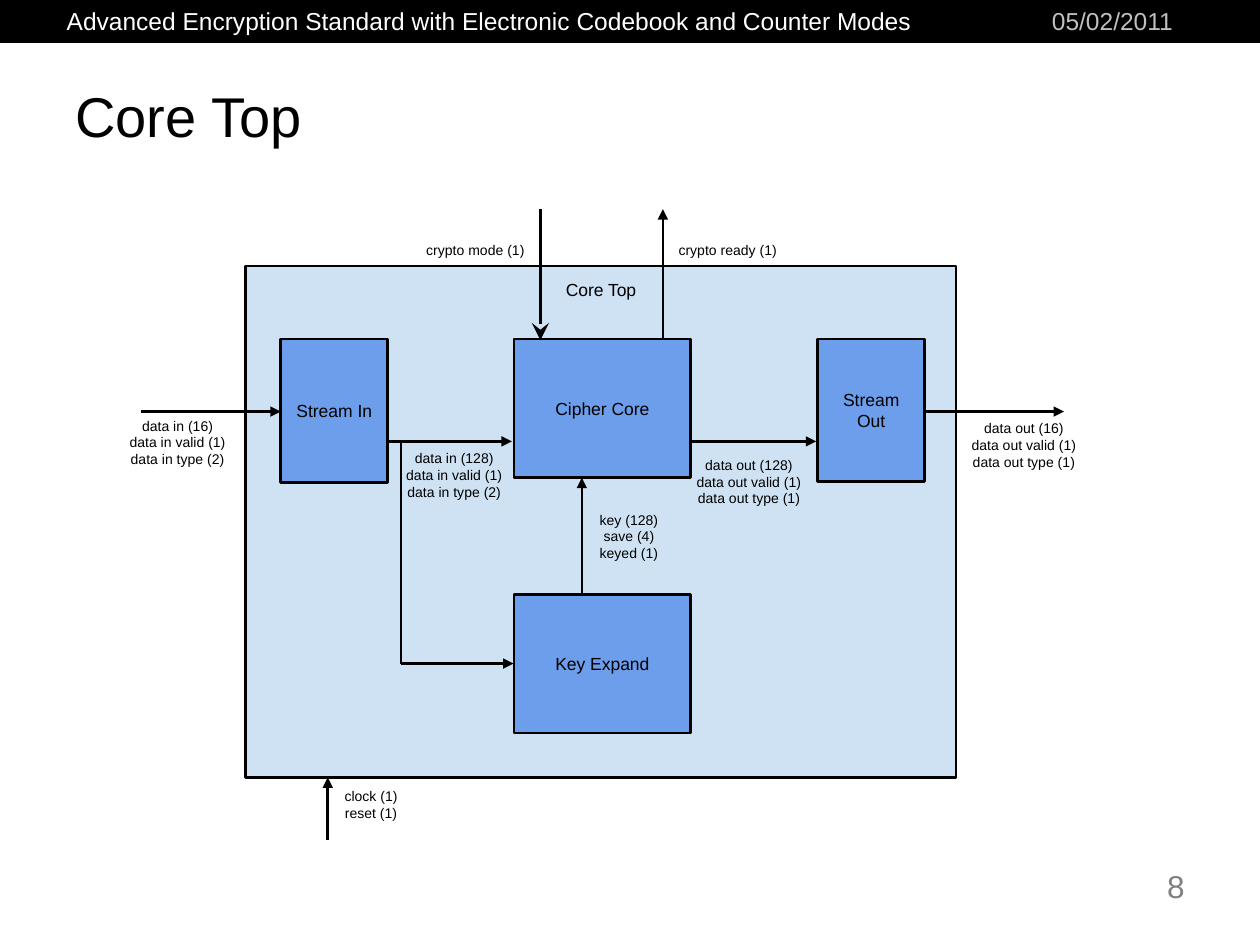
from dataclasses import dataclass

from lxml import etree
from pptx import Presentation
from pptx import util as u
from pptx.dml.color import RGBColor
from pptx.enum import shapes, text
from pptx.oxml import ns

Pt = u.Pt
BLACK, WHITE = "000000", "FFFFFF"
PALE_BLUE, BLUE = "CFE2F3", "6D9EEB"
LEFT, CENTER, RIGHT = text.PP_ALIGN.LEFT, text.PP_ALIGN.CENTER, text.PP_ALIGN.RIGHT
TOP, MIDDLE = text.MSO_ANCHOR.TOP, text.MSO_ANCHOR.MIDDLE


@dataclass
class Label:
    words: str
    left: float
    top: float
    width: float
    height: float
    size: float = 8
    color: str = BLACK
    align: text.PP_ALIGN = CENTER
    anchor: text.MSO_ANCHOR = MIDDLE
    margin: float = 7.2
    wrap: bool = True


@dataclass
class Block:
    label: Label
    fill: str = BLUE


@dataclass
class Signal:
    """A line from its source to its tip; head is the arrowhead at the tip."""
    x1: float
    y1: float
    x2: float
    y2: float
    head: str = "triangle"
    head_size: str = "med"


def rgb(value: str) -> RGBColor:
    return RGBColor.from_string(value)


def write(shape, label: Label) -> None:
    frame = shape.text_frame
    frame.word_wrap = label.wrap
    frame.vertical_anchor = label.anchor
    frame.margin_left = frame.margin_right = Pt(7.2)
    frame.margin_top = frame.margin_bottom = Pt(label.margin)
    paragraph = frame.paragraphs[0]
    paragraph.text = label.words.replace("\n", "\v")  # line breaks
    paragraph.alignment = label.align
    paragraph.font.name = "Arial"
    paragraph.font.size = Pt(label.size)
    paragraph.font.color.rgb = rgb(label.color)


def add_label(slide, label: Label) -> None:
    box = slide.shapes.add_textbox(
        Pt(label.left), Pt(label.top), Pt(label.width), Pt(label.height))
    write(box, label)


def add_rectangle(slide, left: float, top: float, width: float, height: float,
                  fill: str, line_width: float):
    shape = slide.shapes.add_shape(
        shapes.MSO_SHAPE.RECTANGLE, Pt(left), Pt(top), Pt(width), Pt(height))
    shape.shadow.inherit = False
    shape.fill.solid()
    shape.fill.fore_color.rgb = rgb(fill)
    shape.line.color.rgb = rgb(BLACK)
    shape.line.width = Pt(line_width)
    return shape


def add_block(slide, block: Block) -> None:
    label = block.label
    shape = add_rectangle(slide, label.left, label.top, label.width,
                          label.height, block.fill, 1.5)
    write(shape, label)


def add_signal(slide, signal: Signal) -> None:
    connector = slide.shapes.add_connector(
        shapes.MSO_CONNECTOR.STRAIGHT,
        Pt(signal.x1), Pt(signal.y1), Pt(signal.x2), Pt(signal.y2))
    connector.line.color.rgb = rgb(BLACK)
    connector.line.width = Pt(1.5)
    if signal.head:
        etree.SubElement(connector.line._get_or_add_ln(), ns.qn("a:tailEnd"),
                         type=signal.head, w=signal.head_size, len=signal.head_size)
    etree.SubElement(connector._element.spPr, ns.qn("a:effectLst"))


HEADINGS = [
    Label("Advanced Encryption Standard with Electronic Codebook and Counter Modes",
          31, 0, 497.5, 24.5, 14, WHITE, LEFT, TOP, 3.6, wrap=False),
    Label("Core Top", 36, 36, 648, 59.8, 32, BLACK, LEFT, MIDDLE, 3.6),
    Label("8", 612, 491.8, 72, 31.7, 18, "808080", RIGHT, TOP, 3.6),
    Label("05/02/2011", 594, 0, 90, 18, 14, "C0C0C0", LEFT, TOP, 3.6),
]

BLOCKS = [
    Block(Label("Core Top", 140.4, 152, 406, 292.3, 10, anchor=TOP), PALE_BLUE),
    Block(Label("Cipher Core", 293.8, 193.8, 100.8, 79.2, 10)),
    Block(Label("Key Expand", 293.8, 339.8, 100.8, 79.2, 10)),
    Block(Label("Stream In", 160.4, 193.8, 61.2, 82, 10)),
    Block(Label("Stream Out", 467.2, 193.8, 61.2, 81.2, 10)),
]

SIGNALS = [
    Signal(332.5, 339.8, 332.5, 273),               # key
    Signal(378.8, 194, 378.8, 119.5),               # crypto ready
    Signal(80.6, 235.2, 160.4, 235.2),              # data in
    Signal(528, 235.2, 608, 235.2),                 # data out
    Signal(187.3, 480, 187.3, 444.3),               # clock and reset
    Signal(220.6, 252.2, 292.5, 252.2),             # stream in to cipher
    Signal(229.2, 379.2, 293.4, 379.2),             # branch to key expand
    Signal(229.2, 252.2, 229.2, 379.2, head=""),    # branch downwards
    Signal(394, 252.2, 466.4, 252.2),               # cipher to stream out
    Signal(308.8, 119.5, 308.8, 194.4, "stealth", "lg"),  # crypto mode
]

LABELS = [
    Label("key (128)\nsave (4)\nkeyed (1)", 332.4, 282.4, 54, 48),
    Label("data in (16)\ndata in valid (1)\ndata in type (2)",
          62.6, 234, 77.8, 37.4),
    Label("data out (16)\ndata out valid (1)\ndata out type (1)",
          546.2, 235.4, 77.8, 37.4),
    Label("crypto ready (1)", 378.8, 134, 74.2, 18),
    Label("clock (1)\nreset (1)", 187.2, 444.3, 49.7, 31),
    Label("data in (128)\ndata in valid (1)\ndata in type (2)",
          222.5, 252.8, 74.2, 37.4),
    Label("data out (128)\ndata out valid (1)\ndata out type (1)",
          388.8, 252.8, 78.4, 44.6),
    Label("crypto mode (1)", 234.6, 134, 74.2, 18),
]


def main() -> None:
    presentation = Presentation()
    presentation.slide_width, presentation.slide_height = Pt(720), Pt(540)
    slide = presentation.slides.add_slide(presentation.slide_layouts[6])

    # Header bar, title, date and slide number
    add_rectangle(slide, 0, 0, 720, 24, BLACK, 0.75)
    for heading in HEADINGS:
        add_label(slide, heading)

    # Block diagram
    for block in BLOCKS:
        add_block(slide, block)
    for signal in SIGNALS:
        add_signal(slide, signal)
    for label in LABELS:
        add_label(slide, label)

    presentation.save("out.pptx")


if __name__ == "__main__":
    main()
